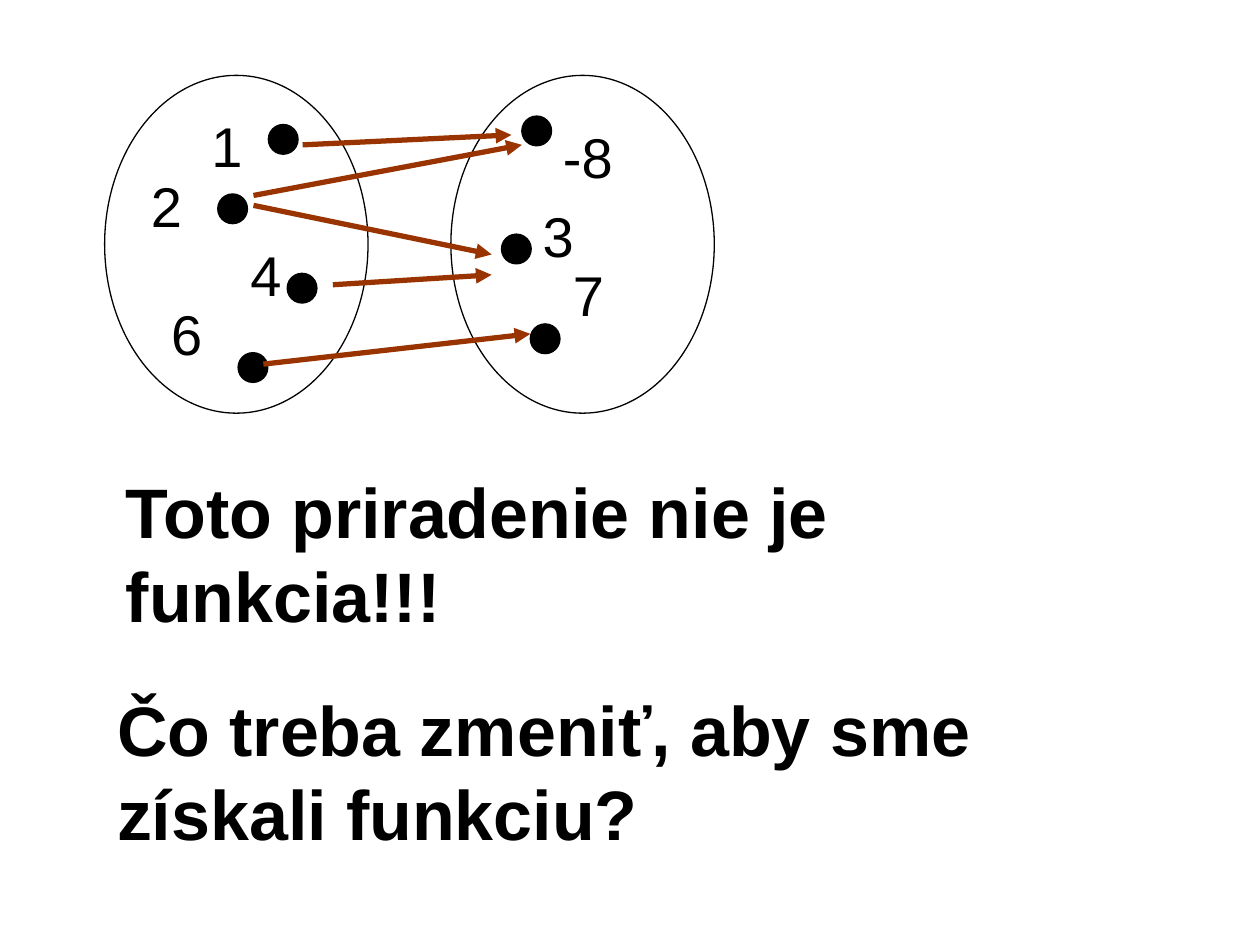
from dataclasses import dataclass

from lxml.etree import SubElement
from pptx import Presentation
from pptx.dml.color import RGBColor
from pptx.enum.shapes import MSO_CONNECTOR, MSO_SHAPE
from pptx.oxml.ns import qn
from pptx.slide import Slide
from pptx.util import Cm, Pt

BLACK = RGBColor(0x00, 0x00, 0x00)
BROWN = RGBColor(0x99, 0x33, 0x00)

SET_TOP, SET_WIDTH, SET_HEIGHT = 1.52, 5.31, 6.81
SET_LEFTS = [2.11, 9.09]
DOT_SIZE = 0.6
LABEL_SIZE = (1.6, 1.63)
SENTENCE_SIZE = (20.2, 3.66)

ELEMENTS = [
    ("1", (4.01, 2.13), (5.41, 2.51)),
    ("2", (2.79, 3.33), (4.39, 3.91)),
    ("4", (4.8, 4.72), (5.79, 5.51)),
    ("6", (3.2, 5.92), (4.8, 7.11)),
    ("-8", (11.1, 2.34), (10.52, 2.34)),
    ("3", (10.69, 3.94), (10.11, 4.72)),
    ("7", (11.3, 5.13), (10.69, 6.53)),
]
ARROWS = [
    ((6.1, 2.92), (10.31, 2.72)),
    ((5.11, 3.94), (10.52, 2.92)),
    ((5.11, 4.14), (9.91, 5.13)),
    ((6.71, 5.74), (9.91, 5.54)),
    ((5.31, 7.34), (10.69, 6.73)),
]
SENTENCES = [
    ("Toto priradenie nie je funkcia!!!", (2.29, 9.32)),
    ("Čo treba zmeniť, aby sme získali funkciu?", (2.11, 13.72)),
]


@dataclass
class MappingDiagram:
    """Draws sets, their elements and the arrows between them on one slide."""

    page: Slide
    font_name: str = "Arial"
    outline_width: float = 0.75
    arrow_width: float = 3
    line_height: float = 1.2

    def ellipse(self, left, top, width, height, filled=False):
        shape = self.page.shapes.add_shape(
            MSO_SHAPE.OVAL, Cm(left), Cm(top), Cm(width), Cm(height))
        shape.shadow.inherit = False
        if filled:
            shape.fill.solid()
            shape.fill.fore_color.rgb = BLACK
        else:
            shape.fill.background()
        shape.line.color.rgb = BLACK
        shape.line.width = Pt(self.outline_width)

    def text(self, words, position, size, points, bold=False):
        box = self.page.shapes.add_textbox(*map(Cm, position + size))
        box.text_frame.word_wrap = True
        para = box.text_frame.paragraphs[0]
        para.text = words
        para.line_spacing = Pt(points * self.line_height)
        para.font.name = self.font_name
        para.font.size = Pt(points)
        para.font.bold = bold
        para.font.color.rgb = BLACK

    def arrow(self, start, end):
        connector = self.page.shapes.add_connector(
            MSO_CONNECTOR.STRAIGHT, *map(Cm, start + end))
        connector.line.color.rgb = BROWN
        connector.line.width = Pt(self.arrow_width)
        SubElement(connector.line._get_or_add_ln(), qn("a:tailEnd"), type="triangle")
        SubElement(connector._element.spPr, qn("a:effectLst"))


def main():
    deck = Presentation()
    deck.slide_width, deck.slide_height = Cm(25.4), Cm(19.05)
    diagram = MappingDiagram(deck.slides.add_slide(deck.slide_layouts[6]))
    for left in SET_LEFTS:
        diagram.ellipse(left, SET_TOP, SET_WIDTH, SET_HEIGHT)
    for label, label_position, dot_position in ELEMENTS:
        diagram.ellipse(*dot_position, DOT_SIZE, DOT_SIZE, filled=True)
        diagram.text(label, label_position, LABEL_SIZE, 32)
    for start, end in ARROWS:
        diagram.arrow(start, end)
    for sentence, position in SENTENCES:
        diagram.text(sentence, position, SENTENCE_SIZE, 40, bold=True)
    deck.save("out.pptx")


if __name__ == "__main__":
    main()
